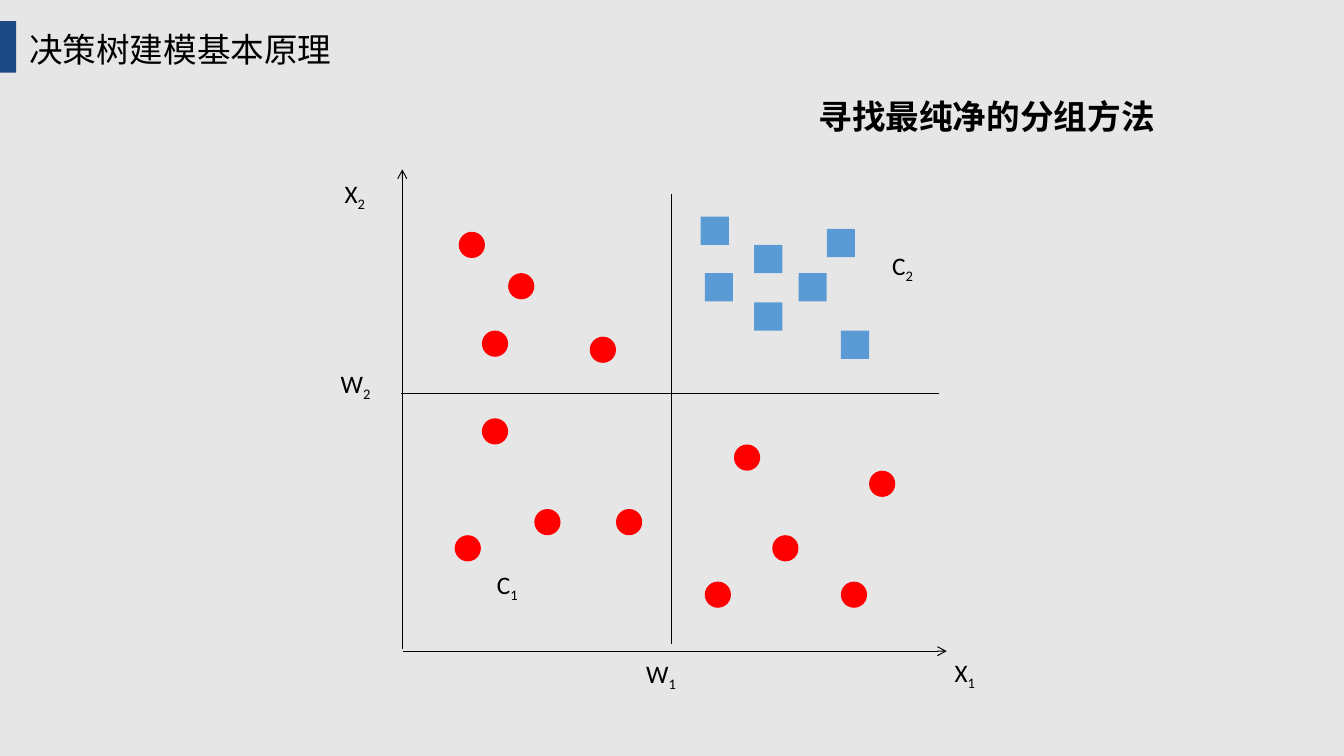
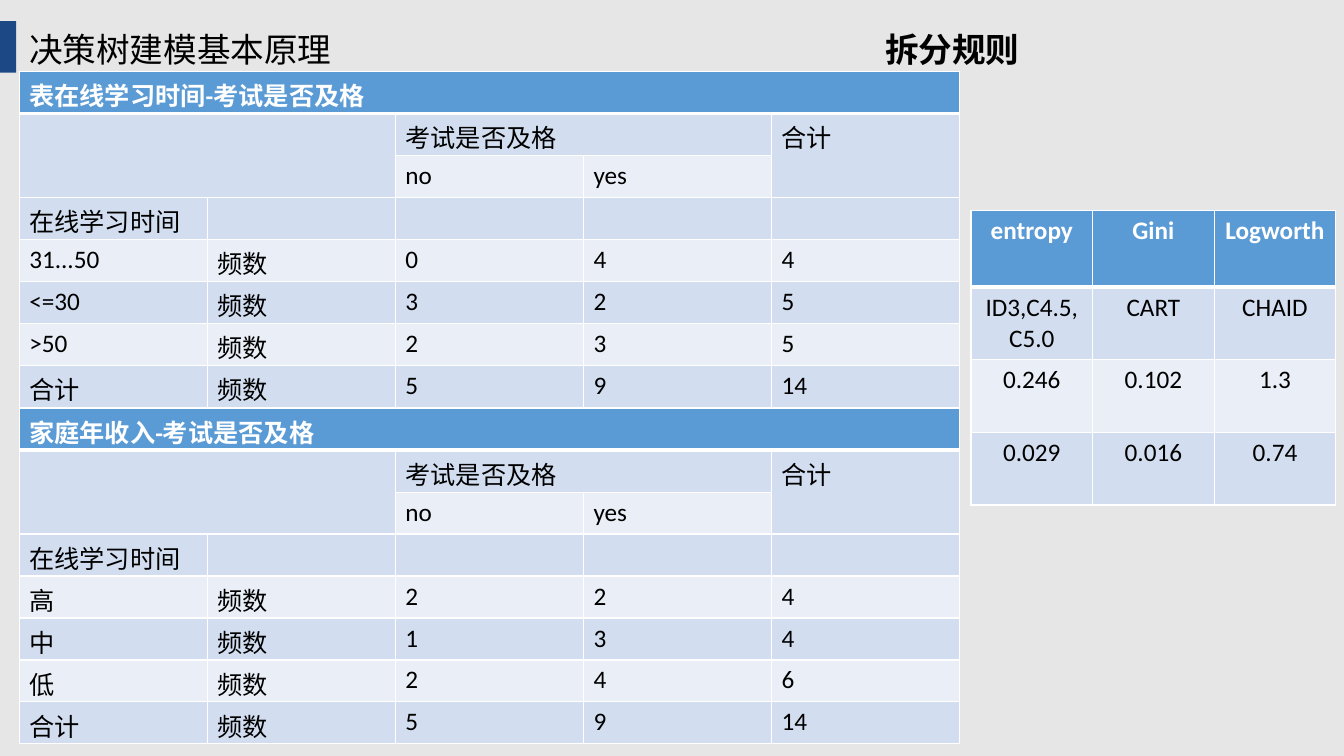
from dataclasses import dataclass

from lxml.etree import SubElement
from pptx import Presentation
from pptx.dml.color import RGBColor
from pptx.enum.shapes import MSO_CONNECTOR, MSO_SHAPE
from pptx.enum.text import MSO_AUTO_SIZE, PP_ALIGN
from pptx.oxml import parse_xml
from pptx.oxml.ns import nsdecls, qn
from pptx.presentation import Presentation as Deck
from pptx.slide import Slide
from pptx.util import Emu, Pt

# Shared style
SCALE = 9144  # EMU in one px, 100 px to the inch
BACKGROUND, BAND = "E7E6E6", "1C4885"
BLACK, WHITE = "000000", "FFFFFF"
BLUE, RED = "5B9BD5", "FF0000"
ROW_FILLS = ("EAEFF7", "D2DEEF")  # even and odd body rows
LATIN_FONT, ASIAN_FONT = "Calibri", "Noto Sans CJK SC"
TITLE = "决策树建模基本原理"
TITLE_SIZE, BODY_SIZE = 24, 18


@dataclass(frozen=True)
class Box:
    left: int
    top: int
    width: int
    height: int


@dataclass(frozen=True)
class Label:
    box: Box
    text: str
    subscript: str = ""
    size: int = BODY_SIZE
    bold: bool = False
    font: str = LATIN_FONT


@dataclass(frozen=True)
class Line:
    start: tuple[int, int]
    end: tuple[int, int]
    arrow: bool = False


@dataclass(frozen=True)
class Markers:
    shape: MSO_SHAPE
    color: str
    size: int
    corners: tuple[tuple[int, int], ...]


@dataclass(frozen=True)
class Grid:
    box: Box
    rows: list[list[str]]
    merges: tuple[tuple[int, int, int, int], ...] = ()
    row_heights: tuple[int, ...] = ()
    align: PP_ALIGN = PP_ALIGN.LEFT


# Scatter plot content
LINES = (
    Line((399, 644), (399, 168), arrow=True),
    Line((400, 646), (939, 646), arrow=True),
    Line((666, 192), (666, 639)),
    Line((398, 390), (931, 390)),
)
MARKERS = (
    Markers(MSO_SHAPE.RECTANGLE, BLUE, 28, (
        (695, 215), (748, 243), (699, 271), (748, 300),
        (820, 227), (834, 328), (792, 271))),
    Markers(MSO_SHAPE.OVAL, RED, 26, (
        (455, 230), (504, 271), (478, 328), (585, 334), (478, 415),
        (530, 505), (451, 531), (611, 505), (728, 441), (766, 531),
        (699, 577), (862, 467), (834, 577))),
)
PLOT_LABELS = (
    Label(Box(631, 648, 68, 40), "W", "1"),
    Label(Box(332, 172, 56, 40), "X", "2"),
    Label(Box(483, 560, 73, 40), "C", "1"),
    Label(Box(328, 360, 68, 40), "W", "2"),
    Label(Box(875, 243, 65, 40), "C", "2"),
    Label(Box(937, 647, 56, 40), "X", "1"),
)

# Table content
COUNT_MERGES = ((0, 0, 0, 4), (1, 0, 2, 1), (1, 2, 1, 3), (1, 4, 2, 4))


def count_grid(top: int, heading: str, counts: list[tuple[str, int, int]]) -> Grid:
    """A frequency table whose totals are worked out from its counts."""
    totals = ("合计", sum(no for _, no, _ in counts), sum(yes for _, _, yes in counts))
    rows = [
        [heading, "", "", "", ""],
        ["", "", "考试是否及格", "", "合计"],
        ["", "", "no", "yes", ""],
        ["在线学习时间", "", "", "", ""],
    ]
    rows += [[name, "频数", str(no), str(yes), str(no + yes)]
             for name, no, yes in [*counts, totals]]
    return Grid(Box(19, top, 933, 333), rows, COUNT_MERGES)


GRIDS = (
    count_grid(71, "表在线学习时间-考试是否及格",
               [("31...50", 0, 4), ("<=30", 3, 2), (">50", 2, 3)]),
    count_grid(405, "家庭年收入-考试是否及格",
               [("高", 2, 2), ("中", 1, 3), ("低", 2, 4)]),
    Grid(Box(963, 209, 362, 292), [
        ["entropy", "Gini", "Logworth"],
        ["ID3,C4.5,C5.0", "CART", "CHAID"],
        ["0.246", "0.102", "1.3"],
        ["0.029", "0.016", "0.74"],
    ], row_heights=(76, 72, 72, 72), align=PP_ALIGN.CENTER),
)


def px(length: int) -> Emu:
    return Emu(length * SCALE)


def place(box: Box) -> tuple[Emu, Emu, Emu, Emu]:
    return px(box.left), px(box.top), px(box.width), px(box.height)


def rgb(color: str) -> RGBColor:
    return RGBColor.from_string(color)


def style_paragraph(paragraph, size: int, color: str, bold: bool,
                    font: str = LATIN_FONT) -> None:
    paragraph.font.size = Pt(size)
    paragraph.font.bold = bold
    paragraph.font.color.rgb = rgb(color)
    paragraph.font.name = font
    defaults = paragraph._p.pPr.find(qn("a:defRPr"))
    SubElement(defaults, qn("a:ea"), typeface=ASIAN_FONT)


def add_shape(shapes, kind: MSO_SHAPE, box: Box, color: str) -> None:
    shape = shapes.add_shape(kind, *place(box))
    shape.shadow.inherit = False
    shape.fill.solid()
    shape.fill.fore_color.rgb = rgb(color)
    shape.line.fill.background()


def add_label(shapes, label: Label) -> None:
    frame = shapes.add_textbox(*place(label.box)).text_frame
    frame.word_wrap = True
    frame.auto_size = MSO_AUTO_SIZE.SHAPE_TO_FIT_TEXT
    paragraph = frame.paragraphs[0]
    paragraph.add_run().text = label.text
    if label.subscript:
        run = paragraph.add_run()
        run.text = label.subscript
        run._r.get_or_add_rPr().set("baseline", "-25000")
    style_paragraph(paragraph, label.size, BLACK, label.bold, label.font)


def add_line(shapes, line: Line) -> None:
    connector = shapes.add_connector(
        MSO_CONNECTOR.STRAIGHT, *map(px, line.start + line.end))
    connector.line.color.rgb = rgb(BLACK)
    connector.line.width = Pt(0.75)
    properties = connector._element.spPr
    if line.arrow:
        SubElement(properties.find(qn("a:ln")), qn("a:tailEnd"), type="arrow")
    SubElement(properties, qn("a:effectLst"))


def set_borders(cell, row: int) -> None:
    """White borders, thicker below the header row."""
    widths = {"L": 1, "R": 1, "T": 3 if row == 1 else 1, "B": 3 if row == 0 else 1}
    properties = cell._tc.get_or_add_tcPr()
    for position, (side, width) in enumerate(widths.items()):
        properties.insert(position, parse_xml(
            f'<a:ln{side} {nsdecls("a")} w="{Pt(width)}"><a:solidFill>'
            f'<a:srgbClr val="{WHITE}"/></a:solidFill></a:ln{side}>'))


def add_grid(shapes, grid: Grid) -> None:
    table = shapes.add_table(
        len(grid.rows), len(grid.rows[0]), *place(grid.box)).table
    table.horz_banding = False
    for row, height in zip(table.rows, grid.row_heights):
        row.height = px(height)
    for row, texts in enumerate(grid.rows):
        header = row == 0
        for column, text in enumerate(texts):
            cell = table.cell(row, column)
            cell.text = text
            cell.fill.solid()
            cell.fill.fore_color.rgb = rgb(BLUE if header else ROW_FILLS[row % 2])
            set_borders(cell, row)
            paragraph = cell.text_frame.paragraphs[0]
            paragraph.alignment = grid.align
            style_paragraph(paragraph, BODY_SIZE, WHITE if header else BLACK, header)
    for top, left, bottom, right in grid.merges:
        table.cell(top, left).merge(table.cell(bottom, right))


def add_titled_slide(presentation: Deck, subtitle: Label) -> Slide:
    slide = presentation.slides.add_slide(presentation.slide_layouts[6])
    add_shape(slide.shapes, MSO_SHAPE.RECTANGLE, Box(0, 21, 16, 51), BAND)
    add_label(slide.shapes, Label(Box(19, 24, 365, 50), TITLE, size=TITLE_SIZE))
    add_label(slide.shapes, subtitle)
    return slide


def build_scatter_slide(presentation: Deck) -> None:
    slide = add_titled_slide(presentation, Label(
        Box(802, 90, 439, 50), "寻找最纯净的分组方法", size=TITLE_SIZE, bold=True))
    plot = slide.shapes.add_group_shape().shapes
    for line in LINES:
        add_line(plot, line)
    for markers in MARKERS:
        for left, top in markers.corners:
            box = Box(left, top, markers.size, markers.size)
            add_shape(plot, markers.shape, box, markers.color)
    for label in PLOT_LABELS:
        add_label(plot, label)


def build_table_slide(presentation: Deck) -> None:
    slide = add_titled_slide(presentation, Label(
        Box(868, 24, 365, 50), "拆分规则", size=TITLE_SIZE, bold=True, font=ASIAN_FONT))
    for grid in GRIDS:
        add_grid(slide.shapes, grid)


def main() -> None:
    presentation = Presentation()
    presentation.slide_width, presentation.slide_height = px(1333), px(750)
    background = presentation.slide_master.background.fill
    background.solid()
    background.fore_color.rgb = rgb(BACKGROUND)
    build_scatter_slide(presentation)
    build_table_slide(presentation)
    presentation.save("out.pptx")


if __name__ == "__main__":
    main()
